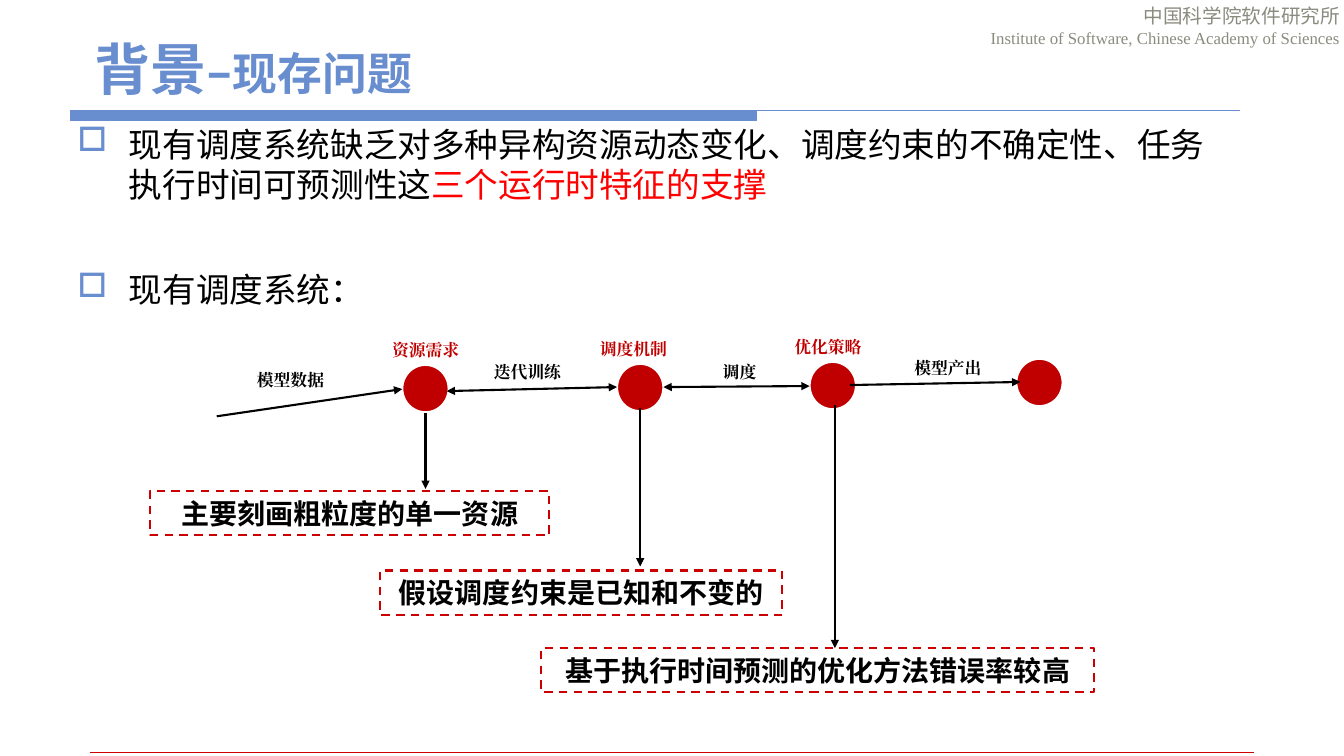
"""Build the slide on the problems of existing scheduling systems."""
from lxml import etree
from pptx import Presentation
from pptx.dml.color import RGBColor
from pptx.enum.dml import MSO_LINE
from pptx.enum.shapes import MSO_CONNECTOR, MSO_SHAPE
from pptx.enum.text import MSO_ANCHOR, PP_ALIGN
from pptx.oxml.ns import qn
from pptx.util import Inches, Pt

BLUE = RGBColor(0x69, 0x8E, 0xCF)
GRAY = RGBColor(0x8B, 0x8B, 0x7F)
BLACK = RGBColor(0x00, 0x00, 0x00)
WHITE = RGBColor(0xFF, 0xFF, 0xFF)
RED = RGBColor(0xFF, 0x00, 0x00)
DARK_RED = RGBColor(0xC0, 0x00, 0x00)
FRAME_RED = RGBColor(0xCC, 0x00, 0x00)
STRAIGHT = MSO_CONNECTOR.STRAIGHT
OVAL, RECT = MSO_SHAPE.OVAL, MSO_SHAPE.RECTANGLE
DASH = MSO_LINE.DASH
CENTER, RIGHT = PP_ALIGN.CENTER, PP_ALIGN.RIGHT
BOTTOM, MIDDLE = MSO_ANCHOR.BOTTOM, MSO_ANCHOR.MIDDLE

prs = Presentation()
prs.slide_width, prs.slide_height = Inches(13.33), Inches(7.5)
COL, ROW = prs.slide_width / 133.3, prs.slide_height / 75
s = prs.slides.add_slide(prs.slide_layouts[6])


def write(p, *runs):
    """Fill a paragraph with runs of (text, size, font, colour, bold)."""
    for text, size, name, color, bold in runs:
        r = p.add_run()
        r.text = text
        r.font.size, r.font.name, r.font.bold = Pt(size), name, bold
        r.font.color.rgb = color
        etree.SubElement(r.font._element, qn("a:ea"), typeface=name)


def connect(x1, y1, x2, y2, color=BLACK, width=1.5, ends=("tailEnd",)):
    """Draw a straight line between two grid points."""
    ln = s.shapes.add_connector(STRAIGHT, int(x1 * COL), int(y1 * ROW), int(x2 * COL), int(y2 * ROW))
    ln.line.color.rgb, ln.line.width = color, Pt(width)
    etree.SubElement(ln._element.spPr, qn("a:effectLst"))
    for end in ends:
        etree.SubElement(ln.line._get_or_add_ln(), qn(f"a:{end}"), type="triangle")


fb = s.shapes.build_freeform(6.9, 10.6, scale=COL)
fb.add_line_segments([(74.7, 10.6), (74.7, 11.8), (6.9, 11.8)], close=True)
fb.move_to(6.9, 10.6)
fb.add_line_segments([(122.9, 10.6)], close=False)
band = fb.convert_to_shape()
band.shadow.inherit = False
band.fill.solid()
band.fill.fore_color.rgb = band.line.color.rgb = BLUE
band.line.width = Pt(0.75)
connect(8.9, 74.6, 124.4, 74.6, FRAME_RED, 0.25, ())

tf = s.shapes.add_textbox(int(77.2 * COL), int(-0.1 * ROW), int(56.7 * COL), int(5.4 * ROW)).text_frame
tf.word_wrap = True
write(tf.paragraphs[0], ("中国科学院软件研究所", 14, "Noto Sans CJK SC", GRAY, False))
write(tf.add_paragraph(),
      ("Institute of Software, Chinese Academy of Sciences", 12, "Times New Roman", GRAY, False))
for p in tf.paragraphs:
    p.alignment = RIGHT

tf = s.shapes.add_textbox(int(8.4 * COL), int(3.3 * ROW), int(116.7 * COL), int(7.3 * ROW)).text_frame
tf.word_wrap, tf.vertical_anchor = True, BOTTOM
write(tf.paragraphs[0], ("背景", 40, "Cabin", BLUE, True), ("–", 38, "Cabin", BLUE, True),
      ("现存问题", 32, "Cabin", BLUE, True))

BULLETS = [
    (11.8, 114.6, 9.3, [
        ("现有调度系统缺乏对多种异构资源动态变化、调度约束的不确定性、任务执行时间可预测性这", BLACK),
        ("三个运行时特征的支撑", RED)]),
    (26.2, 30.9, 5.4, [("现有调度系统：", BLACK)]),
]
for y, w, h, parts in BULLETS:
    tf = s.shapes.add_textbox(int(6.7 * COL), int(y * ROW), int(w * COL), int(h * ROW)).text_frame
    tf.word_wrap = True
    p = tf.paragraphs[0]
    pPr = p._p.get_or_add_pPr()
    pPr.set("marL", str(int(5.1 * COL)))
    pPr.set("indent", str(int(-5.1 * COL)))
    etree.SubElement(etree.SubElement(pPr, qn("a:buClr")), qn("a:srgbClr"), val=str(BLUE))
    etree.SubElement(pPr, qn("a:buChar"), char="□")
    write(p, *[(text, 24, "Cabin", color, False) for text, color in parts])

for x, y in [(39.9, 36.2), (61.2, 36.1), (80.3, 35.9), (100.8, 35.6)]:
    node = s.shapes.add_shape(OVAL, int(x * COL), int(y * ROW), int(4.6 * COL), int(4.7 * ROW))
    node.shadow.inherit = False
    node.fill.solid()
    node.fill.fore_color.rgb = DARK_RED
    node.line.color.rgb, node.line.width = WHITE, Pt(1.5)

LABELS = [
    ("模型数据", 24.5, 36.2, BLACK), ("迭代训练", 48, 35.4, BLACK),
    ("调度", 70.7, 35.4, BLACK), ("模型产出", 89.7, 35, BLACK),
    ("资源需求", 37.9, 33.2, DARK_RED), ("调度机制", 58.5, 33.1, DARK_RED),
    ("优化策略", 77.8, 32.9, DARK_RED),
]
for text, x, y, color in LABELS:
    w = 2 + 1.7 * len(text)
    tf = s.shapes.add_textbox(int(x * COL), int(y * ROW), int(w * COL), int(3 * ROW)).text_frame
    tf.word_wrap = False
    write(tf.paragraphs[0], (text, 12, "Times New Roman", color, True))

BOTH = ("headEnd", "tailEnd")
connect(21.5, 41.3, 39.9, 38.6)
connect(44.3, 38.8, 61.2, 38.4, ends=BOTH)
connect(65.8, 38.4, 80.3, 38.3, ends=BOTH)
connect(84.3, 38.2, 101.2, 37.9)
for x, top, bottom in [(42.2, 41, 48.5), (63.5, 40.5, 56.2), (82.8, 40.2, 64.3)]:
    connect(x, top, x, bottom)

PROBLEMS = [
    ("主要刻画粗粒度的单一资源", 14.9, 48.7, 39.6),
    ("假设调度约束是已知和不变的", 37.7, 56.6, 39.9),
    ("基于执行时间预测的优化方法错误率较高", 53.7, 64.3, 54.8),
]
for text, x, y, w in PROBLEMS:
    sp = s.shapes.add_shape(RECT, int(x * COL), int(y * ROW), int(w * COL), int(4.4 * ROW))
    sp.shadow.inherit = False
    sp.fill.solid()
    sp.fill.fore_color.rgb = WHITE
    sp.line.color.rgb, sp.line.width, sp.line.dash_style = FRAME_RED, Pt(1.5), DASH
    tf = sp.text_frame
    tf.word_wrap, tf.vertical_anchor = True, MIDDLE
    tf.paragraphs[0].alignment = CENTER
    write(tf.paragraphs[0], (text, 20, "DejaVu Sans", BLACK, True))

prs.save("out.pptx")
